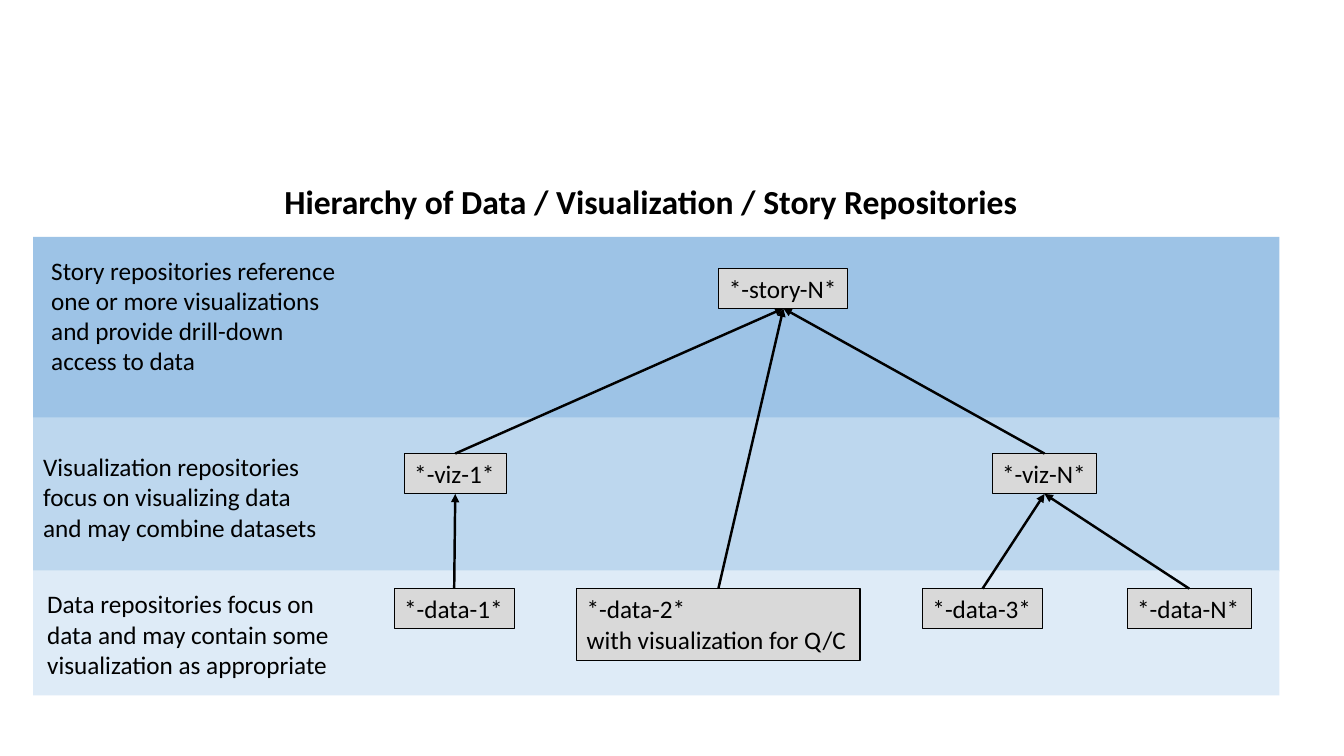
import pptx
import pptx.util
import pptx.dml.color
import pptx.enum.shapes
import pptx.enum.text
import pptx.oxml
import pptx.oxml.ns
from pptx.util import Inches

RGBColor = pptx.dml.color.RGBColor
BLACK = RGBColor(0x00, 0x00, 0x00)
BOX_GREY = RGBColor(0xD9, 0xD9, 0xD9)
STORY_BLUE = RGBColor(0x9D, 0xC3, 0xE6)
VIZ_BLUE = RGBColor(0xBD, 0xD7, 0xEE)
DATA_BLUE = RGBColor(0xDE, 0xEB, 0xF7)

FONT = "Calibri"
TOP, BOTTOM = 0, 2  # connection sites of a rectangle
STORY_Y, VIZ_Y, DATA_Y = 2.66, 4.5, 5.84
BOX_HEIGHT = 0.4

# Tiers: top, height, colour, then the description's left, top, height and text
TIERS = [
    (2.35, 1.81, STORY_BLUE, 0.41, 2.48, 1.31,
     "Story repositories reference one or more visualizations "
     "and provide drill-down access to data"),
    (4.14, 1.53, VIZ_BLUE, 0.33, 4.43, 1.01,
     "Visualization repositories focus on visualizing data "
     "and may combine datasets"),
    (5.66, 1.24, DATA_BLUE, 0.37, 5.79, 1.01,
     "Data repositories focus on data and may contain some "
     "visualization as appropriate"),
]

# Repositories: key, left, top, width, height, lines of the label
REPOSITORIES = [
    ("data-1", 3.91, DATA_Y, 1.19, BOX_HEIGHT, ["*-data-1*"]),
    ("data-2", 5.72, DATA_Y, 2.81, 0.71,
     ["*-data-2*", "with visualization for Q/C"]),
    ("data-3", 9.15, DATA_Y, 1.19, BOX_HEIGHT, ["*-data-3*"]),
    ("data-N", 11.18, DATA_Y, 1.23, BOX_HEIGHT, ["*-data-N*"]),
    ("viz-1", 4.01, VIZ_Y, 1.01, BOX_HEIGHT, ["*-viz-1*"]),
    ("viz-N", 9.84, VIZ_Y, 1.04, BOX_HEIGHT, ["*-viz-N*"]),
    ("story-N", 7.13, STORY_Y, 1.28, BOX_HEIGHT, ["*-story-N*"]),
]

# Each arrow runs from a repository up to the one that uses it
USES = [
    ("data-1", "viz-1"), ("data-3", "viz-N"), ("data-N", "viz-N"),
    ("viz-N", "story-N"), ("data-2", "story-N"), ("viz-1", "story-N"),
]


def write_text(shape, lines, size=18, bold=False, wrap=True):
    frame = shape.text_frame
    frame.text = "\n".join(lines)
    frame.word_wrap = wrap
    frame.auto_size = pptx.enum.text.MSO_AUTO_SIZE.SHAPE_TO_FIT_TEXT
    frame.vertical_anchor = pptx.enum.text.MSO_ANCHOR.TOP
    for paragraph in frame.paragraphs:
        paragraph.alignment = pptx.enum.text.PP_ALIGN.LEFT
        paragraph.font.name = FONT
        paragraph.font.size = pptx.util.Pt(size)
        paragraph.font.bold = bold
        paragraph.font.color.rgb = BLACK


def add_rectangle(slide, left, top, width, height, fill):
    rectangle = slide.shapes.add_shape(
        pptx.enum.shapes.MSO_SHAPE.RECTANGLE,
        Inches(left), Inches(top), Inches(width), Inches(height))
    rectangle.shadow.inherit = False
    rectangle.fill.solid()
    rectangle.fill.fore_color.rgb = fill
    rectangle.line.fill.background()
    return rectangle


def add_repository(slide, left, top, width, height, lines):
    repository = add_rectangle(slide, left, top, width, height, BOX_GREY)
    repository.line.color.rgb = BLACK
    repository.line.width = pptx.util.Pt(0.75)
    write_text(repository, lines, wrap=False)
    return repository


def add_arrow(slide, source, user):
    arrow = slide.shapes.add_connector(
        pptx.enum.shapes.MSO_CONNECTOR.STRAIGHT, 0, 0, 0, 0)
    arrow.begin_connect(source, TOP)
    arrow.end_connect(user, BOTTOM)
    arrow.line.color.rgb = BLACK
    arrow.line.width = pptx.util.Pt(1.75)
    head = pptx.oxml.parse_xml(
        '<a:tailEnd %s type="triangle"/>' % pptx.oxml.ns.nsdecls("a"))
    arrow.line._get_or_add_ln().append(head)
    no_effects = pptx.oxml.parse_xml(
        "<a:effectLst %s/>" % pptx.oxml.ns.nsdecls("a"))
    arrow._element.spPr.append(no_effects)


def add_description(slide, left, top, height, text):
    description = slide.shapes.add_textbox(
        Inches(left), Inches(top), Inches(3.04), Inches(height))
    write_text(description, [text])


def set_title(slide, text):
    title = slide.shapes.title
    title.left, title.top = Inches(2.72), Inches(1.74)
    title.width, title.height = Inches(8.06), Inches(0.5)
    write_text(title, [text], size=24, bold=True)


def main():
    deck = pptx.Presentation()
    deck.slide_width, deck.slide_height = Inches(13.33), Inches(7.5)
    slide = deck.slides.add_slide(deck.slide_layouts[5])
    set_title(slide, "Hierarchy of Data / Visualization / Story Repositories")

    # Tier bands with their descriptions
    for top, height, colour, text_left, text_top, text_height, text in TIERS:
        add_rectangle(slide, 0.33, top, 12.36, height, colour)
        add_description(slide, text_left, text_top, text_height, text)

    # Repositories and the arrows between them
    repositories = {key: add_repository(slide, *place_and_label)
                    for key, *place_and_label in REPOSITORIES}
    for source, user in USES:
        add_arrow(slide, repositories[source], repositories[user])

    deck.save("out.pptx")


if __name__ == "__main__":
    main()
